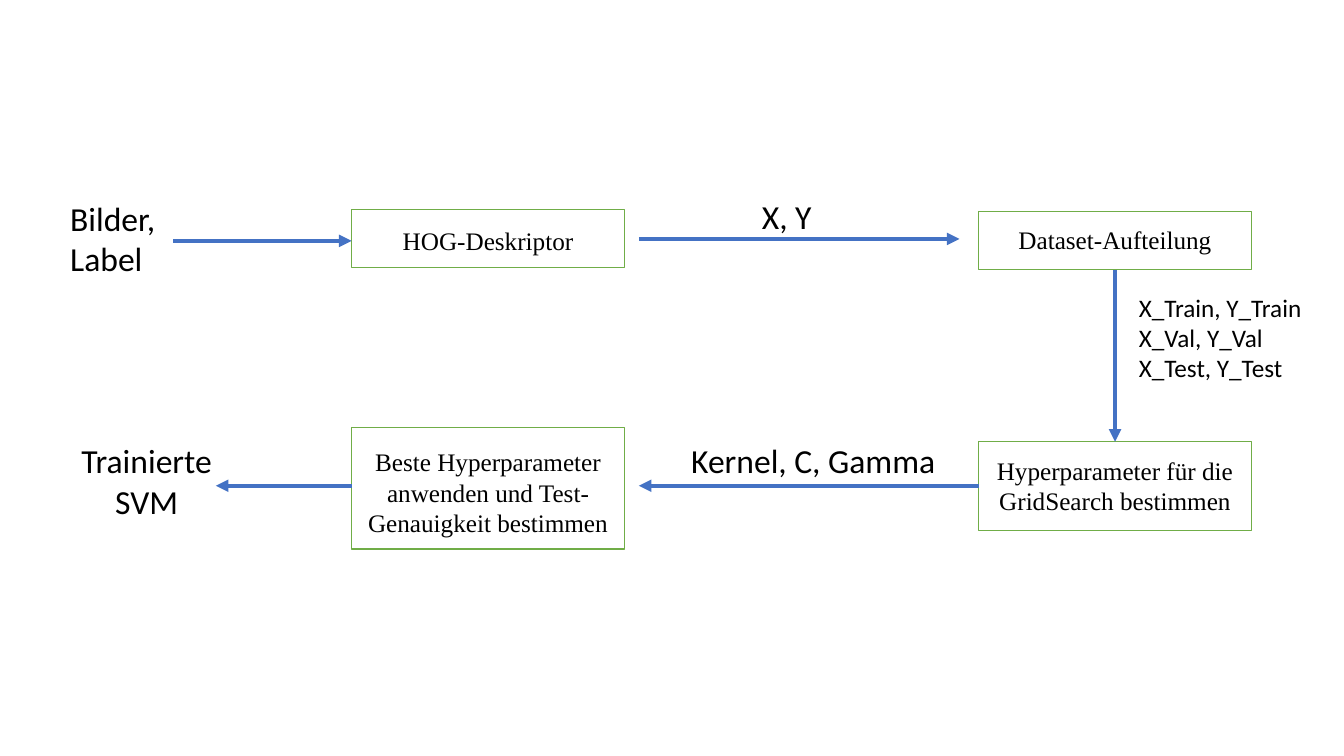
import pptx
import pptx.util
import pptx.dml.color
import pptx.enum.shapes
import pptx.enum.text
import pptx.oxml.ns
import lxml.etree

Cm, Pt = pptx.util.Cm, pptx.util.Pt
ALIGN = pptx.enum.text.PP_ALIGN

COLORS = {"frame": "70AD47", "arrow": "4472C4", "fill": "FFFFFF", "text": "000000"}
LEFT_COLUMN, RIGHT_COLUMN, STEP_WIDTH = 8.86, 24.66, 6.88
RIGHT_CENTER = RIGHT_COLUMN + STEP_WIDTH / 2
LOWER_ROW = 12.24

# left, frame top, frame height, text top, text height, wording
STEPS = [
    (LEFT_COLUMN, 5.28, 1.47, 5.56, 1.02, "HOG-Deskriptor"),
    (RIGHT_COLUMN, 5.33, 1.47, 5.54, 1.02, "Dataset-Aufteilung"),
    (RIGHT_COLUMN, 11.13, 2.24, 11.35, 1.8, "Hyperparameter für die GridSearch bestimmen"),
    (LEFT_COLUMN, 10.77, 3.07, 11.13, 2.57,
     "Beste Hyperparameter anwenden und Test-Genauigkeit bestimmen"),
]
ARROWS = [
    (16.1, 6.02, 24.18, 6.02),
    (RIGHT_COLUMN, LOWER_ROW, 16.1, LOWER_ROW),
    (RIGHT_CENTER, 6.81, RIGHT_CENTER, 11.13),
    (4.37, 6.07, LEFT_COLUMN, 6.07),
    (LEFT_COLUMN, LOWER_ROW, 5.44, LOWER_ROW),
]
LABELS = [
    ((1.52, 4.85, 3.3, 2.31), ["Bilder,\nLabel"], 24, ALIGN.LEFT),
    ((18.95, 4.8, 3.3, 1.27), ["X, Y"], 24, ALIGN.LEFT),
    ((28.45, 7.24, 4.98, 2.57),
     ["X_Train, Y_Train", "X_Val, Y_Val", "X_Test, Y_Test"], 18, ALIGN.LEFT),
    ((17.17, 10.95, 8.2, 1.27), ["Kernel, C, Gamma"], 24, ALIGN.LEFT),
    ((1.55, 10.97, 4.29, 2.31), ["Trainierte SVM"], 24, ALIGN.CENTER),
]


def color(name):
    return pptx.dml.color.RGBColor.from_string(COLORS[name])


def add_text(page, place, lines, size, font, align):
    box = page.shapes.add_textbox(*map(Cm, place))
    frame = box.text_frame
    frame.word_wrap = True
    frame.auto_size = pptx.enum.text.MSO_AUTO_SIZE.SHAPE_TO_FIT_TEXT
    for index, line in enumerate(lines):
        para = frame.add_paragraph() if index else frame.paragraphs[0]
        para.alignment = align
        for part, wording in enumerate(line.split("\n")):
            if part:
                para.add_line_break()
            span = para.add_run()
            span.text = wording
            span.font.size = Pt(size)
            span.font.name = font
            span.font.color.rgb = color("text")


def add_frame(page, left, top, height):
    box = page.shapes.add_shape(pptx.enum.shapes.MSO_SHAPE.RECTANGLE,
                                Cm(left), Cm(top), Cm(STEP_WIDTH), Cm(height))
    box.shadow.inherit = False
    box.fill.solid()
    box.fill.fore_color.rgb = color("fill")
    box.line.color.rgb = color("frame")
    box.line.width = Pt(1)


def add_arrow(page, ends):
    arrow = page.shapes.add_connector(pptx.enum.shapes.MSO_CONNECTOR.STRAIGHT, *map(Cm, ends))
    arrow.line.color.rgb = color("arrow")
    arrow.line.width = Pt(3)
    qn = pptx.oxml.ns.qn
    properties = arrow._element.spPr
    lxml.etree.SubElement(properties.find(qn("a:ln")), qn("a:tailEnd"), type="triangle")
    lxml.etree.SubElement(properties, qn("a:effectLst"))


deck = pptx.Presentation()
deck.slide_width, deck.slide_height = Cm(33.87), Cm(19.05)
page = deck.slides.add_slide(deck.slide_layouts[6])

for left, top, height, text_top, text_height, wording in STEPS:
    add_frame(page, left, top, height)
    add_text(page, (left, text_top, STEP_WIDTH, text_height), [wording],
             18, "Times New Roman", ALIGN.CENTER)
for ends in ARROWS:
    add_arrow(page, ends)
for place, lines, size, align in LABELS:
    add_text(page, place, lines, size, "Calibri", align)

deck.save("out.pptx")
